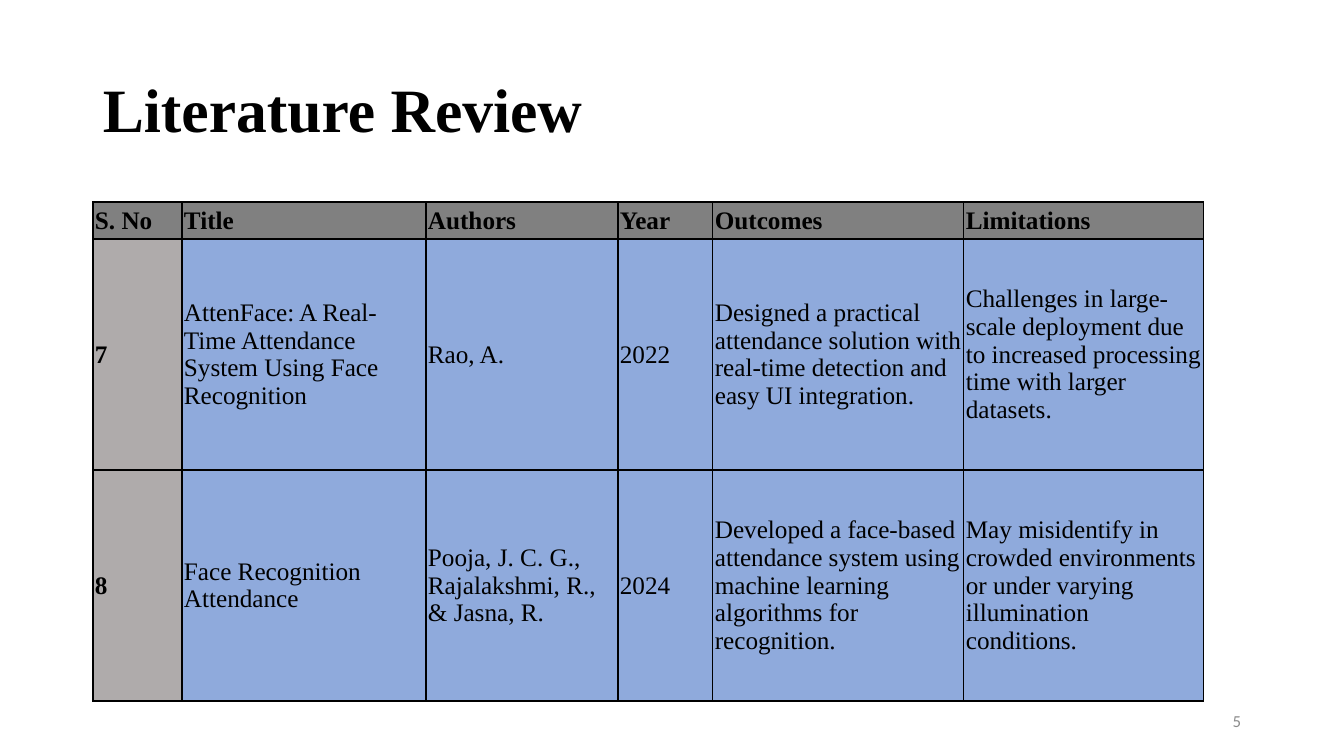
import pptx
import pptx.dml.color
import pptx.enum.text
import pptx.oxml
import pptx.oxml.ns
import pptx.util

ALIGN = pptx.enum.text.PP_ALIGN
MIDDLE = pptx.enum.text.MSO_ANCHOR.MIDDLE
SERIF = "Times New Roman"

COLUMN_WIDTHS = [89, 244, 192, 95, 251, 240]
ROW_HEIGHTS = [37, 231, 231]
REVIEW = [
    ["S. No", "Title", "Authors", "Year", "Outcomes", "Limitations"],
    ["7", "AttenFace: A Real-Time Attendance System Using Face Recognition",
     "Rao, A.", "2022",
     "Designed a practical attendance solution with real-time detection and easy UI integration.",
     "Challenges in large-scale deployment due to increased processing time with larger datasets."],
    ["8", "Face Recognition Attendance",
     "Pooja, J. C. G., Rajalakshmi, R., & Jasna, R.", "2024",
     "Developed a face-based attendance system using machine learning algorithms for recognition.",
     "May misidentify in crowded environments or under varying illumination conditions."],
]


def px(count):
    """Turn pixels (100.8 to the inch) into EMU."""
    return pptx.util.Emu(round(count * 914400 / 100.8))


def color(hex_string):
    return pptx.dml.color.RGBColor.from_string(hex_string)


class SlideBuilder:
    black, header_fill, number_fill, body_fill = "000000", "808080", "AFABAB", "8FAADC"

    def __init__(self, slide):
        self.slide = slide

    def fill_frame(self, frame, text, ink=black, font=None, para_format=None):
        """Put one formatted paragraph into a text frame."""
        frame.word_wrap = True
        para = frame.paragraphs[0]
        for name, value in (para_format or {}).items():
            setattr(para, name, value)
        span = para.add_run()
        span.text = text
        for name, value in (font or {}).items():
            setattr(span.font, name, value)
        span.font.color.rgb = color(ink)

    def text(self, left, top, width, height, text, **style):
        box = self.slide.shapes.add_textbox(px(left), px(top), px(width), px(height))
        box.text_frame.vertical_anchor = MIDDLE
        self.fill_frame(box.text_frame, text, **style)

    def border(self, cell):
        """Draw a one-point line on all four sides, ahead of the cell's fill."""
        properties = cell._tc.get_or_add_tcPr()
        for index, side in enumerate(("lnL", "lnR", "lnT", "lnB")):
            line = pptx.oxml.parse_xml(
                f'<a:{side} {pptx.oxml.ns.nsdecls("a")} w="12700"><a:solidFill>'
                f'<a:srgbClr val="{self.black}"/></a:solidFill></a:{side}>')
            properties.insert(index, line)

    def cell(self, cell, text, fill, bold):
        margins = {"margin_left": px(2), "margin_right": px(2),
                   "margin_top": px(1), "margin_bottom": px(1)}
        for name, value in {**margins, "vertical_anchor": MIDDLE}.items():
            setattr(cell, name, value)
        cell.fill.solid()
        cell.fill.fore_color.rgb = color(fill)
        self.border(cell)
        self.fill_frame(cell.text_frame, text,
                        font={"name": SERIF, "size": pptx.util.Pt(18), "bold": bold})

    def table(self, left, top, widths, heights, rows):
        table = self.slide.shapes.add_table(
            len(heights), len(widths), px(left), px(top),
            px(sum(widths)), px(sum(heights))).table
        for column, width in zip(table.columns, widths):
            column.width = px(width)
        for row, height in zip(table.rows, heights):
            row.height = px(height)
        for r, row in enumerate(rows):
            for c, text in enumerate(row):
                fill = (self.header_fill if r == 0
                        else self.number_fill if c == 0 else self.body_fill)
                self.cell(table.cell(r, c), text, fill, bold=r == 0 or c == 0)


def main():
    deck = pptx.Presentation()
    deck.slide_width, deck.slide_height = px(1344), px(756)
    page = SlideBuilder(deck.slides.add_slide(deck.slide_layouts[6]))
    page.text(93, 40, 1159, 146, "Literature Review",
              font={"name": SERIF, "size": pptx.util.Pt(44), "bold": True},
              para_format={"line_spacing": 0.9})
    page.text(949, 701, 302, 40, "5", ink="8C8C8C",
              font={"name": "Calibri", "size": pptx.util.Pt(12)},
              para_format={"alignment": ALIGN.RIGHT})
    page.table(93, 202, COLUMN_WIDTHS, ROW_HEIGHTS, REVIEW)
    deck.save("out.pptx")


if __name__ == "__main__":
    main()
